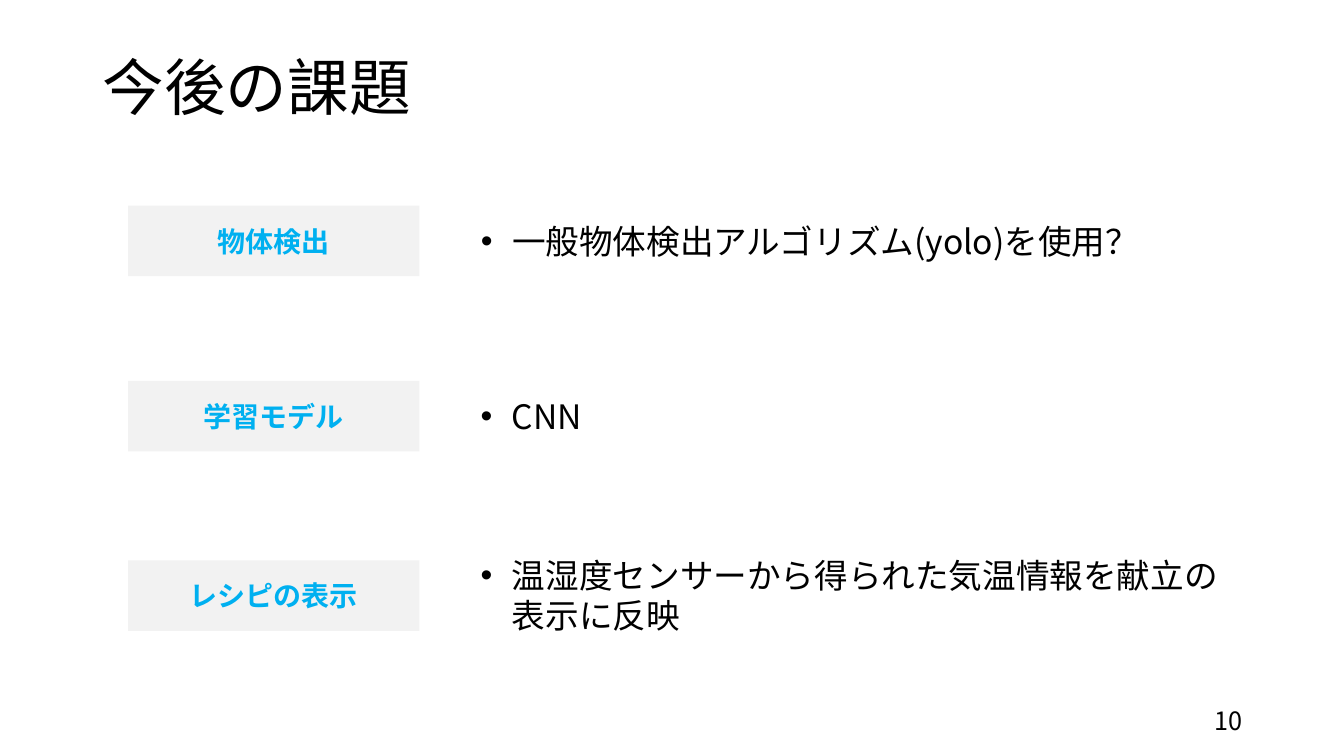
from lxml import etree
from pptx import Presentation
from pptx.dml.color import RGBColor
from pptx.enum.shapes import MSO_SHAPE
from pptx.enum.text import MSO_ANCHOR, PP_ALIGN
from pptx.oxml.ns import qn
from pptx.util import Inches, Pt

RECTANGLE = MSO_SHAPE.RECTANGLE
TOP, MIDDLE = MSO_ANCHOR.TOP, MSO_ANCHOR.MIDDLE
LEFT, CENTER, RIGHT = PP_ALIGN.LEFT, PP_ALIGN.CENTER, PP_ALIGN.RIGHT

FONT = "Noto Sans CJK JP"
COLORS = {"text": "000000", "label": "00B0F0", "label_fill": "F2F2F2"}

# label, bullet text, vertical centre, text width, text height
TOPICS = [
    ("物体検出", "一般物体検出アルゴリズム(yolo)を使用？", 2.39, 7.75, 0.5),
    ("学習モデル", "CNN", 4.13, 7.57, 0.5),
    ("レシピの表示", "温湿度センサーから得られた気温情報を献立の表示に反映", 5.91, 7.57, 0.91),
]
LABEL_HEIGHT = 0.7


def write(box, text, size, color="text", bold=False, align=LEFT, anchor=MIDDLE):
    """Put one styled paragraph in the box and return it."""
    frame = box.text_frame
    frame.word_wrap = True
    frame.vertical_anchor = anchor
    frame.text = text
    para = frame.paragraphs[0]
    para.alignment = align
    font = para.runs[0].font
    font.size = Pt(size)
    font.bold = bold
    font.color.rgb = RGBColor.from_string(COLORS[color])
    font.name = FONT
    # Japanese glyphs take the East Asian typeface
    etree.SubElement(para.runs[0]._r.get_or_add_rPr(), qn("a:ea"), typeface=FONT)
    return para


def add_bullet(para):
    properties = para._p.get_or_add_pPr()
    properties.set("marL", str(Inches(0.31)))
    properties.set("indent", str(Inches(-0.31)))
    etree.SubElement(properties, qn("a:buFont"), typeface="Arial")
    etree.SubElement(properties, qn("a:buChar"), char="•")


deck = Presentation()
deck.slide_width = Inches(13.33)
deck.slide_height = Inches(7.5)
page = deck.slides.add_slide(deck.slide_layouts[6])

title = page.shapes.add_textbox(Inches(0.92), Inches(0.4), Inches(11.5), Inches(0.99))
write(title, "今後の課題", 44).line_spacing = 0.9

for name, detail, middle, width, height in TOPICS:
    label = page.shapes.add_shape(
        RECTANGLE, Inches(1.27), Inches(middle - LABEL_HEIGHT / 2),
        Inches(2.89), Inches(LABEL_HEIGHT))
    label.shadow.inherit = False
    label.fill.solid()
    label.fill.fore_color.rgb = RGBColor.from_string(COLORS["label_fill"])
    label.line.fill.background()
    write(label, name, 20, color="label", bold=True, align=CENTER)

    box = page.shapes.add_textbox(
        Inches(4.67), Inches(middle - height / 2), Inches(width), Inches(height))
    add_bullet(write(box, detail, 24, anchor=TOP))

number = page.shapes.add_textbox(Inches(9.42), Inches(6.95), Inches(3), Inches(0.4))
write(number, "10", 18, align=RIGHT)

deck.save("out.pptx")
